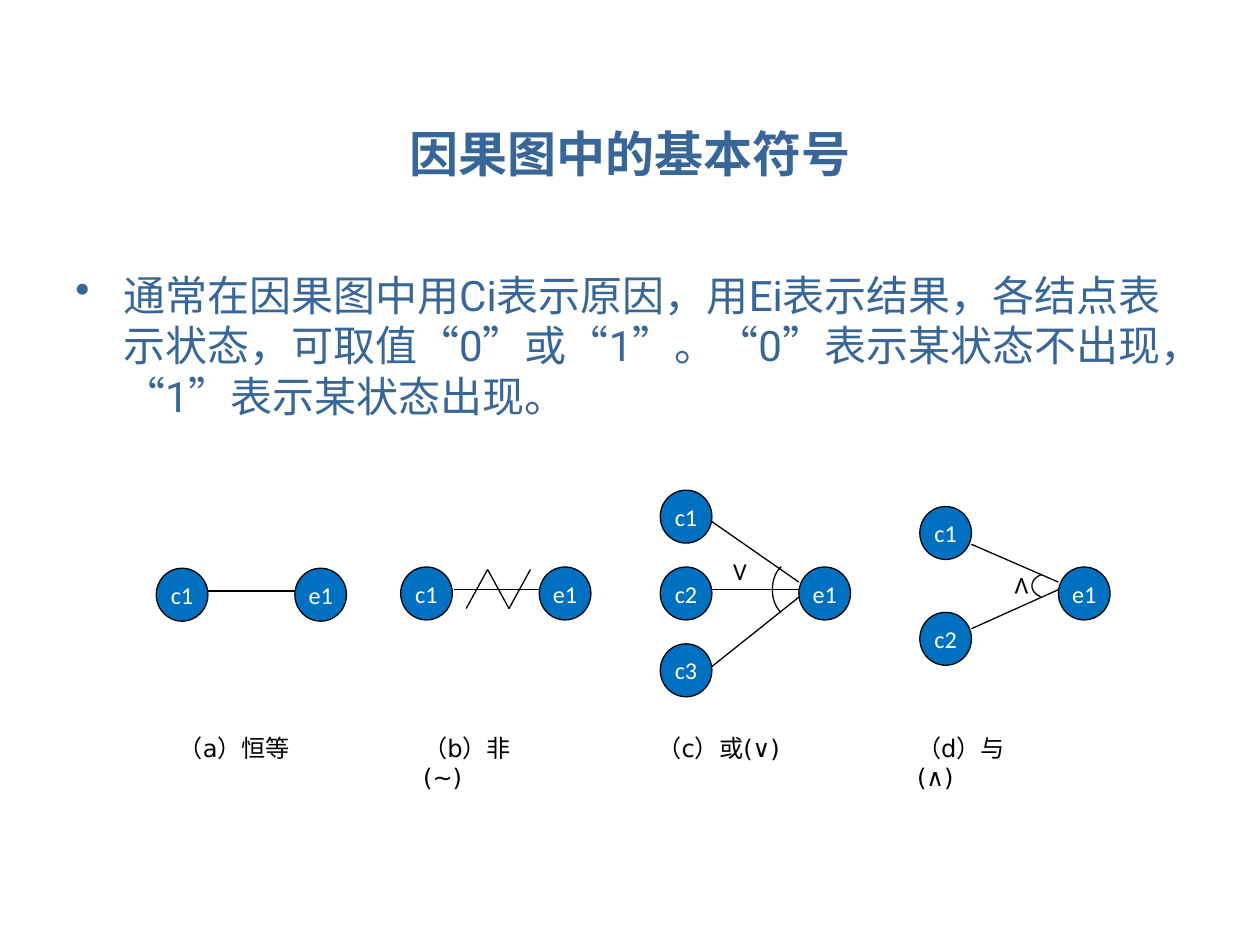
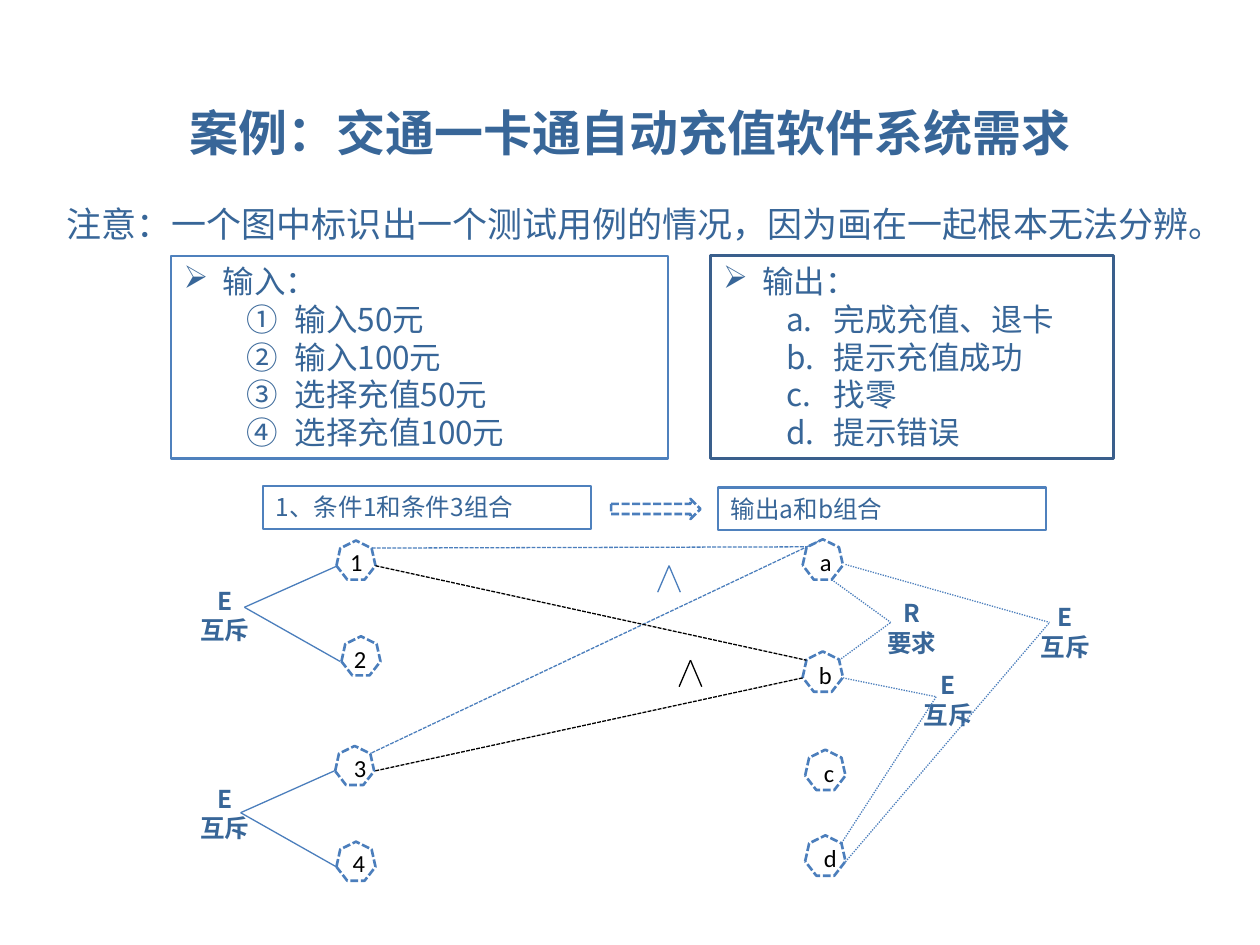
from dataclasses import dataclass
from math import cos, radians, sin

from lxml import etree
from pptx import Presentation
from pptx.dml.color import RGBColor
from pptx.enum import dml, lang, shapes, text
from pptx.oxml import ns
from pptx.util import Inches, Pt

COLOURS = {
    "ink": "386698", "black": "000000", "white": "FFFFFF", "node": "0070C0",
    "link": "4B7EBC", "frame": "4F81BD", "dark_frame": "3A5F8C",
}
CJK = "Noto Sans CJK SC"
SHAPE = shapes.MSO_SHAPE
DASH = dml.MSO_LINE.SQUARE_DOT
DOT = dml.MSO_LINE.ROUND_DOT
CENTER = text.PP_ALIGN.CENTER
CIRCLE_W, CIRCLE_H = 0.41, 0.42


@dataclass(frozen=True)
class Line:
    x1: float
    y1: float
    x2: float
    y2: float
    colour: str = "black"
    dash: object = None


@dataclass(frozen=True)
class Node:
    name: str
    x: float
    y: float


@dataclass(frozen=True)
class Heptagon(Node):
    label_x: float
    label_y: float
    size: float = 0.31


@dataclass(frozen=True)
class Caption:
    words: str
    x: float
    y: float
    width: float


@dataclass(frozen=True)
class ListBox:
    heading: str
    items: tuple
    numbering: str
    x: float
    width: float
    colour: str
    weight: float


def rgb(name: str) -> RGBColor:
    return RGBColor.from_string(COLOURS[name])


def box_of(*lengths: float) -> list:
    return [Inches(length) for length in lengths]


def write(frame, lines, size=14, font=CJK, colour="ink", bold=False,
          align=None, anchor=text.MSO_ANCHOR.TOP, wrap=True) -> None:
    """Fill a text frame, one paragraph for each line."""
    frame.word_wrap = wrap
    frame.vertical_anchor = anchor
    for index, words in enumerate(lines):
        para = frame.add_paragraph() if index else frame.paragraphs[0]
        para.alignment = align or text.PP_ALIGN.LEFT
        para.line_spacing = Pt(size * 1.2)
        span = para.add_run()
        span.text = words
        span.font.size = Pt(size)
        span.font.name = font
        span.font.bold = bold
        span.font.color.rgb = rgb(colour)
        span.font.language_id = lang.MSO_LANGUAGE_ID.SIMPLIFIED_CHINESE
        east_asian = etree.SubElement(span._r.get_or_add_rPr(), ns.qn("a:ea"))
        east_asian.set("typeface", CJK)


def add_bullet(para, left: float, hang: float, char="", numbering="") -> None:
    properties = para._p.get_or_add_pPr()
    properties.set("marL", str(Inches(left)))
    properties.set("indent", str(Inches(-hang)))
    if numbering:
        etree.SubElement(properties, ns.qn("a:buAutoNum")).set("type", numbering)
    else:
        etree.SubElement(properties, ns.qn("a:buChar")).set("char", char)


def paint(shape, fill=None, line=None, weight=0.75, dash=None) -> None:
    shape.shadow.inherit = False
    if fill:
        shape.fill.solid()
        shape.fill.fore_color.rgb = rgb(fill)
    else:
        shape.fill.background()
    if line:
        shape.line.color.rgb = rgb(line)
        shape.line.width = Pt(weight)
        if dash:
            shape.line.dash_style = dash
    else:
        shape.line.fill.background()


def add_shape(page, kind, x, y, width, height, **look):
    shape = page.shapes.add_shape(kind, *box_of(x, y, width, height))
    paint(shape, **look)
    return shape


def add_text(page, x, y, width, height, lines, **style):
    box = page.shapes.add_textbox(*box_of(x, y, width, height))
    write(box.text_frame, lines, **style)
    return box


def add_line(page, line: Line) -> None:
    connector = page.shapes.add_connector(
        shapes.MSO_CONNECTOR.STRAIGHT, *box_of(line.x1, line.y1, line.x2, line.y2))
    connector.line.color.rgb = rgb(line.colour)
    connector.line.width = Pt(0.75)
    if line.dash:
        connector.line.dash_style = line.dash
    etree.SubElement(connector._element.spPr, ns.qn("a:effectLst"))


def add_titled_page(deck, title: str, top: float):
    page = deck.slides.add_slide(deck.slide_layouts[5])
    holder = page.shapes.title
    holder.left, holder.top, holder.width, holder.height = box_of(0.5, top, 9, 0.63)
    write(holder.text_frame, [title], size=28, font="Roboto", bold=True,
          align=CENTER, anchor=text.MSO_ANCHOR.MIDDLE)
    return page


def add_circle(page, node: Node) -> None:
    circle = add_shape(page, SHAPE.OVAL, node.x, node.y, CIRCLE_W, CIRCLE_H,
                       fill="node", line="black")
    write(circle.text_frame, [node.name], size=13.8, font="Calibri", colour="white",
          align=CENTER, anchor=text.MSO_ANCHOR.MIDDLE, wrap=False)


def add_arc(page, x: float, y: float, radius_x: float, radius_y: float) -> None:
    """Draw a white wedge with its tip at x, y and a black arc on its left."""
    rim = [box_of(x + radius_x * cos(radians(angle)), y + radius_y * sin(radians(angle)))
           for angle in range(240, 119, -8)]
    for points, close, look in (
            (rim + [box_of(x, y)], True, {"fill": "white"}),
            (rim, False, {"line": "black"})):
        builder = page.shapes.build_freeform(*points[0])
        builder.add_line_segments(points[1:], close=close)
        paint(builder.convert_to_shape(), **look)


def add_operator(page, x: float, y: float, rotation: float = 0) -> None:
    sign = add_shape(page, SHAPE.RECTANGLE, x, y, 0.31, 0.33, fill="white")
    sign.rotation = rotation
    write(sign.text_frame, ["V"], size=13.8, font="Calibri", colour="black", wrap=False)


def add_heptagon(page, node: Heptagon) -> None:
    add_text(page, node.label_x, node.label_y, 0.24, 0.34, [node.name],
             font="Calibri", colour="black")
    add_shape(page, SHAPE.HEPTAGON, node.x, node.y, node.size, node.size,
              line="link", weight=1.5, dash=DASH)


def add_list_box(page, content: ListBox) -> None:
    box = add_shape(page, SHAPE.RECTANGLE, content.x, 2.03, content.width, 1.61,
                    fill="white", line=content.colour, weight=content.weight)
    write(box.text_frame, [content.heading, *content.items], size=18)
    heading, *items = box.text_frame.paragraphs
    add_bullet(heading, 0.31, 0.31, char="➢")
    for para in items:
        para.level = 1
        add_bullet(para, 0.88, 0.38, numbering=content.numbering)


def build_symbols_page(deck) -> None:
    page = add_titled_page(deck, "因果图中的基本符号", 0.9)
    body = add_text(page, 0.5, 2.09, 9, 1.23, [
        "通常在因果图中用Ci表示原因，用Ei表示结果，各结点表示状态，可取值“0”或“1”。"
        "“0”表示某状态不出现，“1”表示某状态出现。"], size=24, font="Roboto")
    add_bullet(body.text_frame.paragraphs[0], 0.38, 0.38, char="•")

    add_arc(page, 6.27, 4.68, 0.14, 0.21)
    add_operator(page, 5.72, 4.37)
    add_operator(page, 7.95, 4.5, rotation=180)
    add_arc(page, 8.33, 4.65, 0.14, 0.1)

    for node in (
            Node("c1", 1.24, 4.51), Node("e1", 2.34, 4.51),
            Node("c1", 3.18, 4.5), Node("e1", 4.28, 4.5),
            Node("c1", 5.24, 3.89), Node("c2", 5.24, 4.5),
            Node("c3", 5.24, 5.11), Node("e1", 6.34, 4.5),
            Node("c1", 7.3, 4.02), Node("c2", 7.3, 4.86), Node("e1", 8.4, 4.5)):
        add_circle(page, node)

    for line in (
            Line(1.65, 4.69, 2.34, 4.69),
            Line(3.6, 4.68, 4.28, 4.68),
            Line(3.87, 4.52, 3.7, 4.83),
            Line(3.87, 4.52, 4.04, 4.83),
            Line(4.21, 4.52, 4.04, 4.83),
            Line(5.65, 4.14, 6.34, 4.62),
            Line(5.65, 4.68, 6.34, 4.68),
            Line(5.65, 5.29, 6.34, 4.74),
            Line(7.71, 4.32, 8.4, 4.62),
            Line(7.71, 4.99, 8.4, 4.68)):
        add_line(page, line)

    for caption in (
            Caption("（a）恒等", 1.32, 5.77, 1.5), Caption("（b）非(~)", 3.26, 5.77, 1.18),
            Caption("（c）或(∨)", 5.12, 5.77, 1.18), Caption("（d）与(∧)", 7.18, 5.77, 1.18)):
        add_text(page, caption.x, caption.y, caption.width, 0.33, [caption.words],
                 size=13.8, font="DejaVu Sans", colour="black")


def build_case_page(deck) -> None:
    page = add_titled_page(deck, "案例：交通一卡通自动充值软件系统需求", 0.73)
    add_text(page, 0.43, 1.56, 9.14, 0.44,
             ["注意：一个图中标识出一个测试用例的情况，因为画在一起根本无法分辨。"], size=20)

    for content in (
            ListBox("输入：", ("输入50元", "输入100元", "选择充值50元", "选择充值100元"),
                    "circleNumDbPlain", 1.36, 3.94, "frame", 1.25),
            ListBox("输出：", ("完成充值、退卡", "提示充值成功", "找零", "提示错误"),
                    "alphaLcPeriod", 5.64, 3.2, "dark_frame", 1.5)):
        add_list_box(page, content)

    for relation in (
            Caption("E互斥", 1.48, 4.6, 0.61), Caption("E互斥", 1.48, 6.17, 0.61),
            Caption("R要求", 6.92, 4.7, 0.63), Caption("E互斥", 7.21, 5.27, 0.63),
            Caption("E互斥", 8.14, 4.73, 0.63)):
        add_text(page, relation.x, relation.y, relation.width, 0.57,
                 [relation.words[0], relation.words[1:]], bold=True, align=CENTER)

    for node in (
            Heptagon("1", 2.67, 4.29, 2.68, 4.29), Heptagon("2", 2.71, 5.05, 2.71, 5.06),
            Heptagon("3", 2.66, 5.92, 2.71, 5.93), Heptagon("4", 2.67, 6.68, 2.7, 6.68),
            Heptagon("a", 6.37, 4.28, 6.41, 4.29, 0.32),
            Heptagon("b", 6.37, 5.17, 6.4, 5.19, 0.32),
            Heptagon("c", 6.39, 5.95, 6.44, 5.97, 0.32),
            Heptagon("d", 6.39, 6.63, 6.44, 6.64, 0.32)):
        add_heptagon(page, node)

    for line in (
            Line(1.94, 4.82, 2.68, 4.49, "link"),
            Line(1.94, 4.82, 2.7, 5.25, "link"),
            Line(1.91, 6.45, 2.65, 6.12, "link"),
            Line(1.91, 6.45, 2.67, 6.88, "link"),
            Line(6.71, 4.48, 8.33, 4.94, "link", DOT),
            Line(6.71, 6.84, 8.33, 4.94, "link", DOT),
            Line(6.6, 4.6, 7.07, 4.94, "link", DOT),
            Line(6.66, 5.24, 7.07, 4.94, "link", DOT),
            Line(6.69, 5.38, 7.43, 5.53, "link", DOT),
            Line(6.68, 6.69, 7.43, 5.53, "link", DOT),
            Line(2.95, 4.35, 6.4, 4.34, "link", DASH),
            Line(6.53, 4.28, 2.94, 5.98, "link", DASH),
            Line(2.98, 4.49, 6.4, 5.24, "black", DASH),
            Line(6.37, 5.38, 2.97, 6.12, "black", DASH)):
        add_line(page, line)

    for x, y, colour in ((5.31, 4.49, "link"), (5.48, 5.24, "black")):
        for side in (-0.09, 0.09):
            add_line(page, Line(x, y, x + side, y + 0.21, colour))

    for words, x, y in (("1、条件1和条件3组合", 2.09, 3.86), ("输出a和b组合", 5.7, 3.87)):
        box = add_shape(page, SHAPE.RECTANGLE, x, y, 2.6, 0.34,
                        fill="white", line="frame", weight=1.25)
        write(box.text_frame, [words])
    add_shape(page, SHAPE.RIGHT_ARROW, 4.85, 3.96, 0.71, 0.16,
              line="link", weight=1.5, dash=DASH)


def main() -> None:
    deck = Presentation()
    deck.slide_width, deck.slide_height = box_of(10, 7.5)
    build_symbols_page(deck)
    build_case_page(deck)
    deck.save("out.pptx")


if __name__ == "__main__":
    main()
